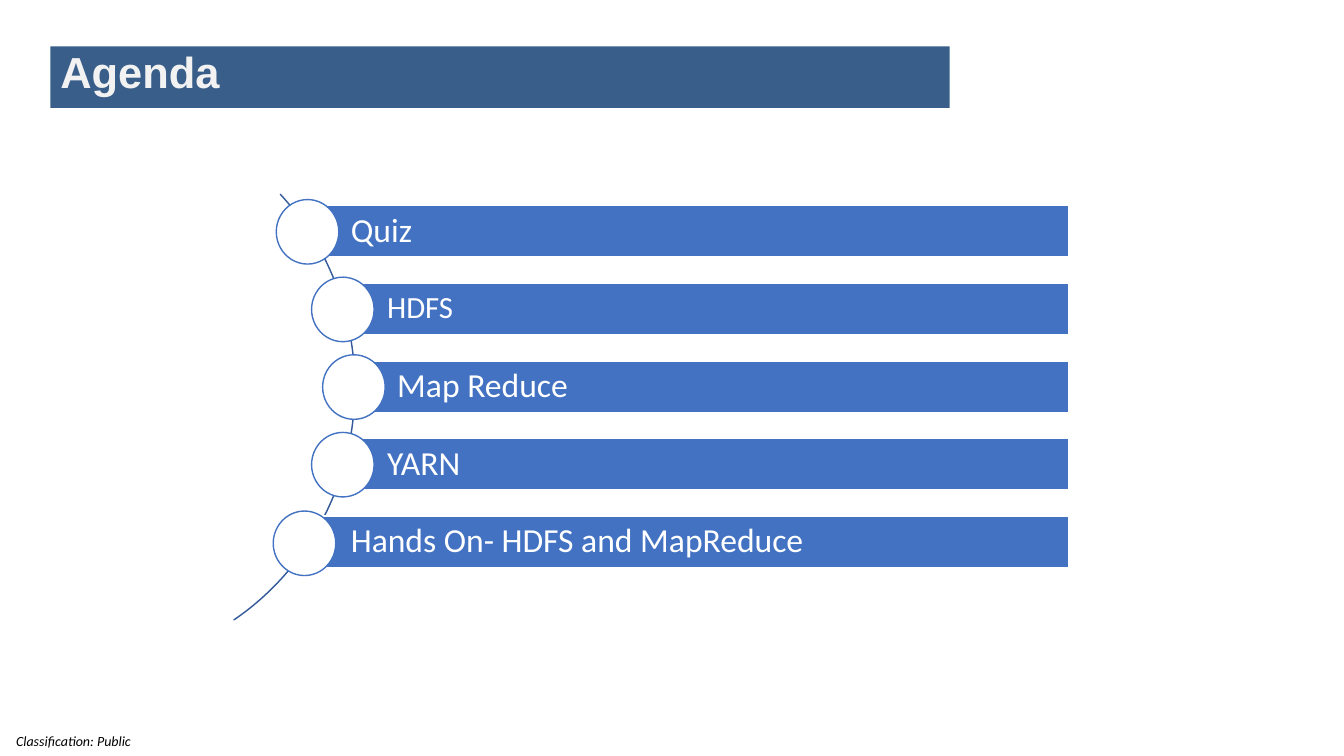
from pptx import Presentation
from pptx.util import Inches, Pt
from pptx.dml.color import RGBColor
from pptx.enum import shapes, text

KIND = shapes.MSO_SHAPE


def paint(kind, box, fill=None, line=None):
    shape = deck.shapes.add_shape(kind, *map(Inches, box))
    shape.shadow.inherit = False
    for part, tone in ((shape.fill, fill), (shape.line.fill, line)):
        if tone:
            part.solid()
            part.fore_color.rgb = RGBColor.from_string(tone)
        else:
            part.background()
    if line:
        shape.line.width = Pt(1)
    return shape


def write(shape, words, pad, tone, lead=1, **look):
    frame = shape.text_frame
    frame.word_wrap = True
    frame.vertical_anchor = text.MSO_ANCHOR.MIDDLE
    for side, gap in zip(("left", "top", "right", "bottom"), pad):
        setattr(frame, "margin_" + side, Inches(gap))
    para = frame.paragraphs[0]
    para.alignment = text.PP_ALIGN.LEFT
    para.line_spacing = lead
    run = para.add_run()
    run.text = words
    run.font.color.rgb = RGBColor.from_string(tone)
    for name, value in look.items():
        setattr(run.font, name, value)


show = Presentation()
show.slide_width, show.slide_height = Inches(13.33), Inches(7.5)
deck = show.slides.add_slide(show.slide_layouts[6])

label = deck.shapes.add_textbox(*map(Inches, (0, 7.27, 1.46, 0.17)))
label.left = Inches(0.16)
label.width = Inches(1.3)
write(label, "Classification: Public", (0, 0, 0, 0), "000000",
      name="Calibri", size=Pt(10), italic=True)

arc = paint(KIND.BLOCK_ARC, (-1.78, 1.08, 5.3, 5.52), line="345A99")
for i, value in enumerate((189, 34.709, 0)):
    arc.adjustments[i] = value

right, first, step = 10.6, 2.04, 0.77
topics = [
    ("Quiz", 3.04, 24, 2.74, 1.98),
    ("HDFS", 3.4, 22, 3.09, 2.75),
    ("Map Reduce", 3.5, 24, 3.2, 3.52),
    ("YARN", 3.4, 24, 3.09, 4.29),
    ("Hands On- HDFS and MapReduce", 3.04, 24, 2.71, 5.07),
]
for i, (topic, left, size, x, y) in enumerate(topics):
    bar = paint(KIND.RECTANGLE, (left, first + i * step, right - left, 0.51),
                "4372C3", "FFFFFF")
    write(bar, topic, (0.44, 0.07, 0.07, 0.07), "FFFFFF", 0.9,
          name="Calibri", size=Pt(size))
    paint(KIND.OVAL, (x, y, 0.62, 0.64), "FFFFFF", "4372C3")

title = paint(KIND.RECTANGLE, (0.5, 0.46, 8.92, 0.61), "395E89")
write(title, "Agenda", (0.1, 0.05, 0.1, 0.05), "F2F2F2", 0.7,
      name="Arial", size=Pt(31), bold=True)

show.save("out.pptx")
